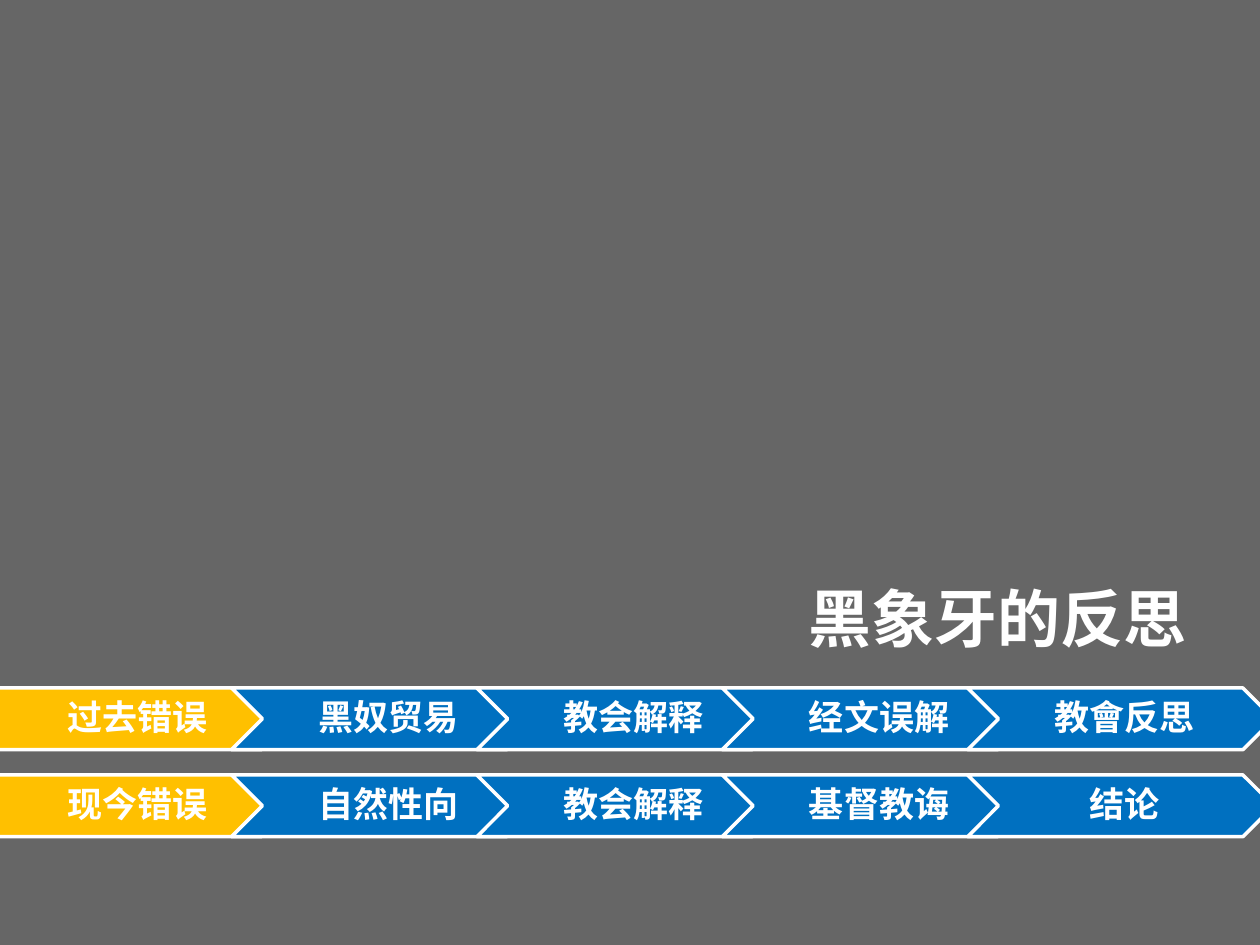
import pptx
import pptx.util
import pptx.dml.color
import pptx.enum.shapes
import pptx.enum.text
import pptx.oxml.ns
import lxml.etree

Inches = pptx.util.Inches
SHAPES = pptx.enum.shapes.MSO_SHAPE
WHITE, BLACK, GOLD, BLUE = "FFFFFF", "000000", "FFC000", "0070C0"
STEP_WIDTH, STEP_HEIGHT = 2.43, 0.49


def color(hex_string):
    """Turn a hex string into a colour."""
    return pptx.dml.color.RGBColor.from_string(hex_string)


def write(frame, text, size, align=None, line_spacing=None):
    """Put bold white text in a frame."""
    paragraph = frame.paragraphs[0]
    paragraph.alignment = align
    paragraph.line_spacing = line_spacing
    run = paragraph.add_run()
    run.text = text
    run.font.name = "Arial"
    run.font.size = pptx.util.Pt(size)
    run.font.bold = True
    run.font.color.rgb = color(WHITE)


def add_shade(slide, left, top, width, height):
    """Cover a box with translucent black."""
    shade = slide.shapes.add_shape(
        SHAPES.RECTANGLE, Inches(left), Inches(top), Inches(width), Inches(height))
    shade.shadow.inherit = False
    shade.fill.solid()
    shade.fill.fore_color.rgb = color(BLACK)
    shade.line.fill.background()
    tint = shade.fill._xPr.find(".//" + pptx.oxml.ns.qn("a:srgbClr"))
    lxml.etree.SubElement(tint, pptx.oxml.ns.qn("a:alpha"), val="60000")


def add_title(slide, left, top, width, height, text):
    """Place the slide title."""
    title = slide.shapes.add_textbox(
        Inches(left), Inches(top), Inches(width), Inches(height))
    title.text_frame.word_wrap = False
    title.text_frame.auto_size = pptx.enum.text.MSO_AUTO_SIZE.SHAPE_TO_FIT_TEXT
    write(title.text_frame, text, 36)


def add_step(process, left, top, label, is_first):
    """Place one arrow step with its label."""
    step = process.shapes.add_shape(
        SHAPES.PENTAGON if is_first else SHAPES.CHEVRON,
        Inches(left), Inches(top), Inches(STEP_WIDTH), Inches(STEP_HEIGHT))
    step.shadow.inherit = False
    step.fill.solid()
    step.fill.fore_color.rgb = color(GOLD if is_first else BLUE)
    step.line.color.rgb = color(WHITE)
    step.line.width = pptx.util.Pt(2)
    frame = step.text_frame
    frame.word_wrap = True
    frame.vertical_anchor = pptx.enum.text.MSO_ANCHOR.MIDDLE
    frame.margin_left = Inches(0.12 if is_first else 0.09)
    frame.margin_right = Inches(0.03)
    frame.margin_top = frame.margin_bottom = Inches(0.06)
    write(frame, label, 20, align=pptx.enum.text.PP_ALIGN.CENTER, line_spacing=0.9)


def add_process(slide, left, top, width, labels):
    """Spread overlapping steps evenly across a row."""
    process = slide.shapes.add_group_shape()
    pitch = (width - STEP_WIDTH) / (len(labels) - 1)
    for index, label in enumerate(labels):
        add_step(process, left + index * pitch, top, label, index == 0)


def main():
    """Build and save the slide."""
    deck = pptx.Presentation()
    deck.slide_width, deck.slide_height = Inches(10), Inches(7.5)
    slide = deck.slides.add_slide(deck.slide_layouts[6])
    slide.background.fill.solid()
    slide.background.fill.fore_color.rgb = color(WHITE)
    add_shade(slide, 0, 0, 10, 7.51)
    add_title(slide, 6.32, 4.55, 3.23, 0.71, "黑象牙的反思")
    present = ["现今错误", "自然性向", "教会解释", "基督教诲", "结论"]
    past = ["过去错误", "黑奴贸易", "教会解释", "经文误解", "教會反思"]
    for top, labels in ((6.15, present), (5.46, past)):
        add_process(slide, -0.11, top, 10.22, labels)
    deck.save("out.pptx")


if __name__ == "__main__":
    main()
